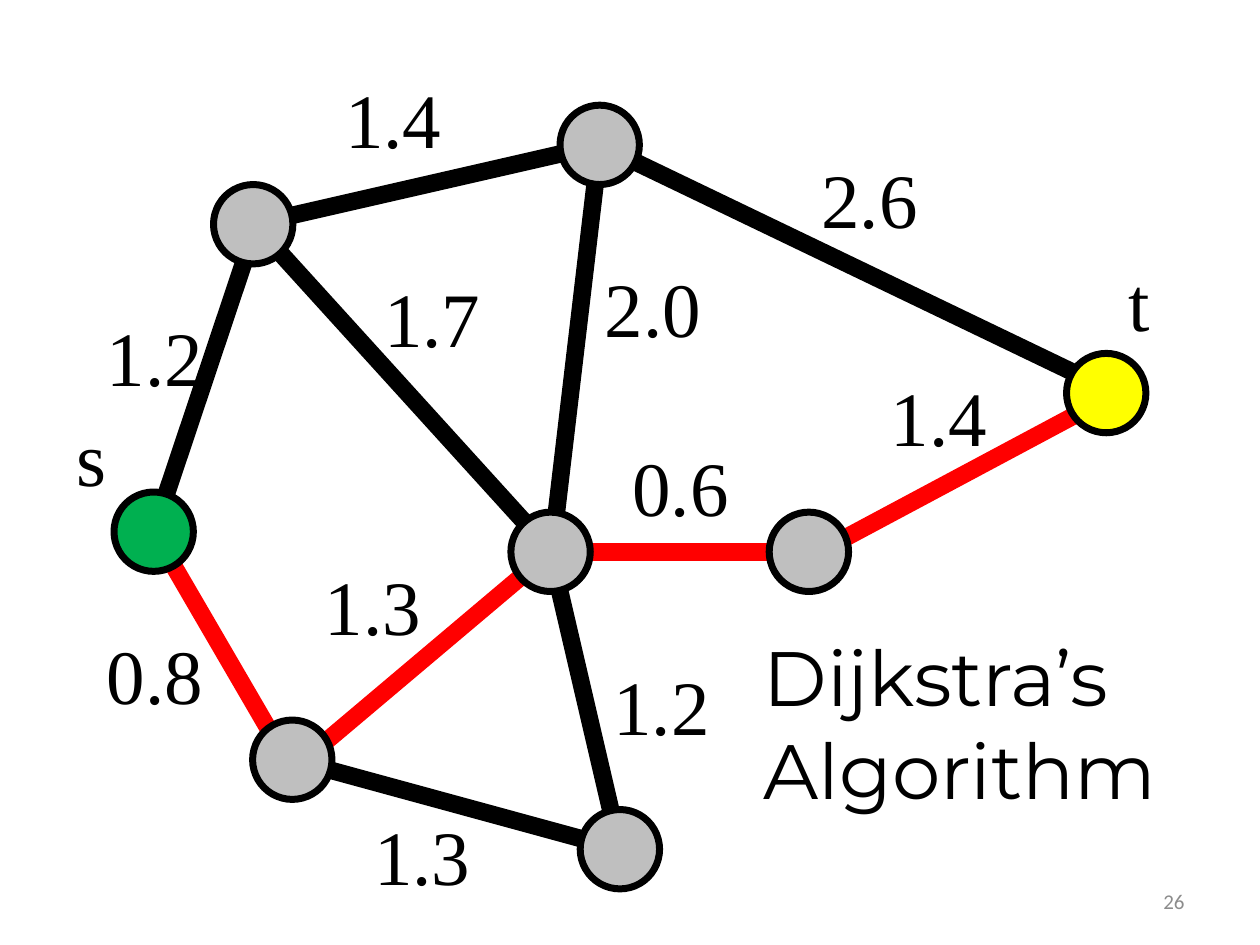
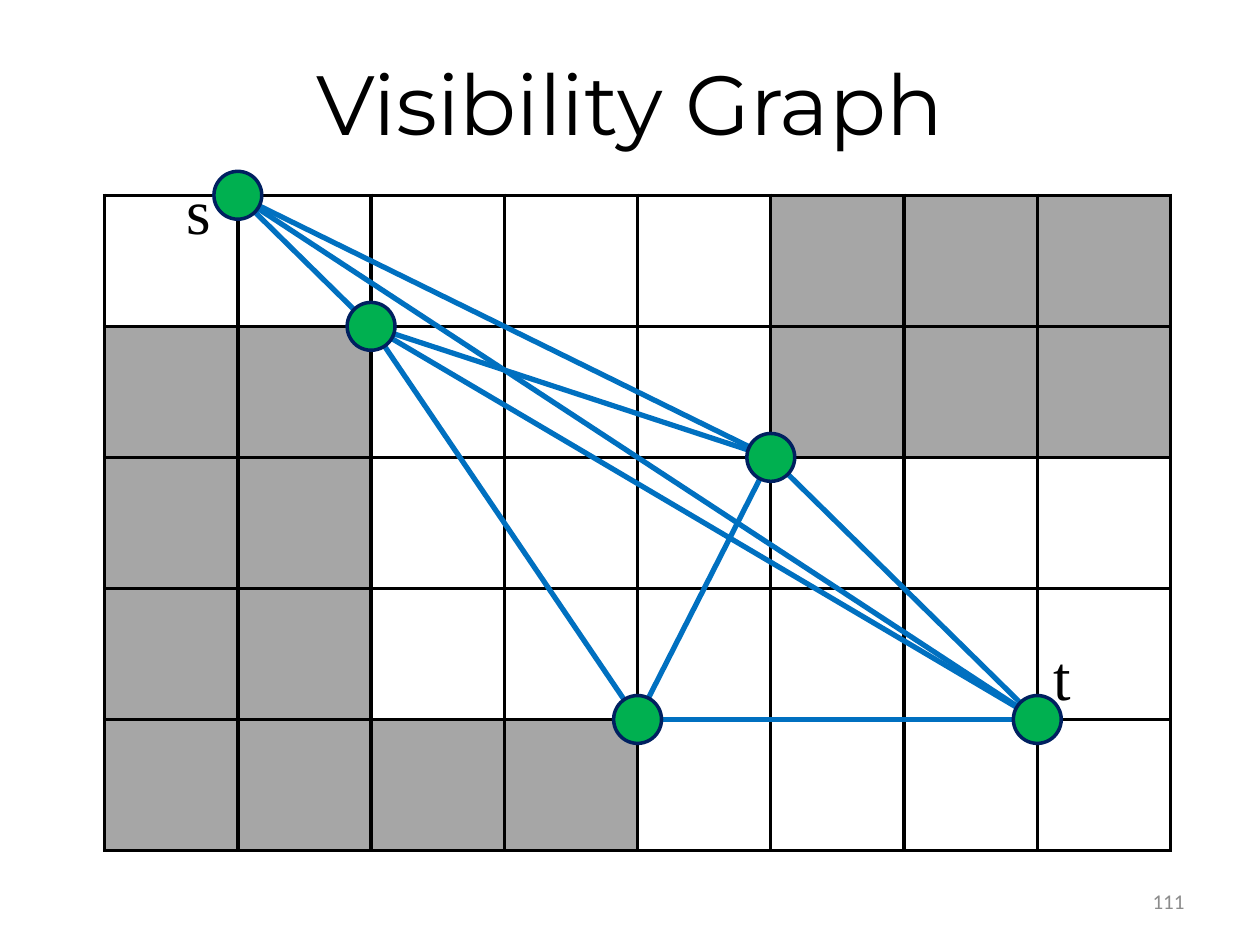
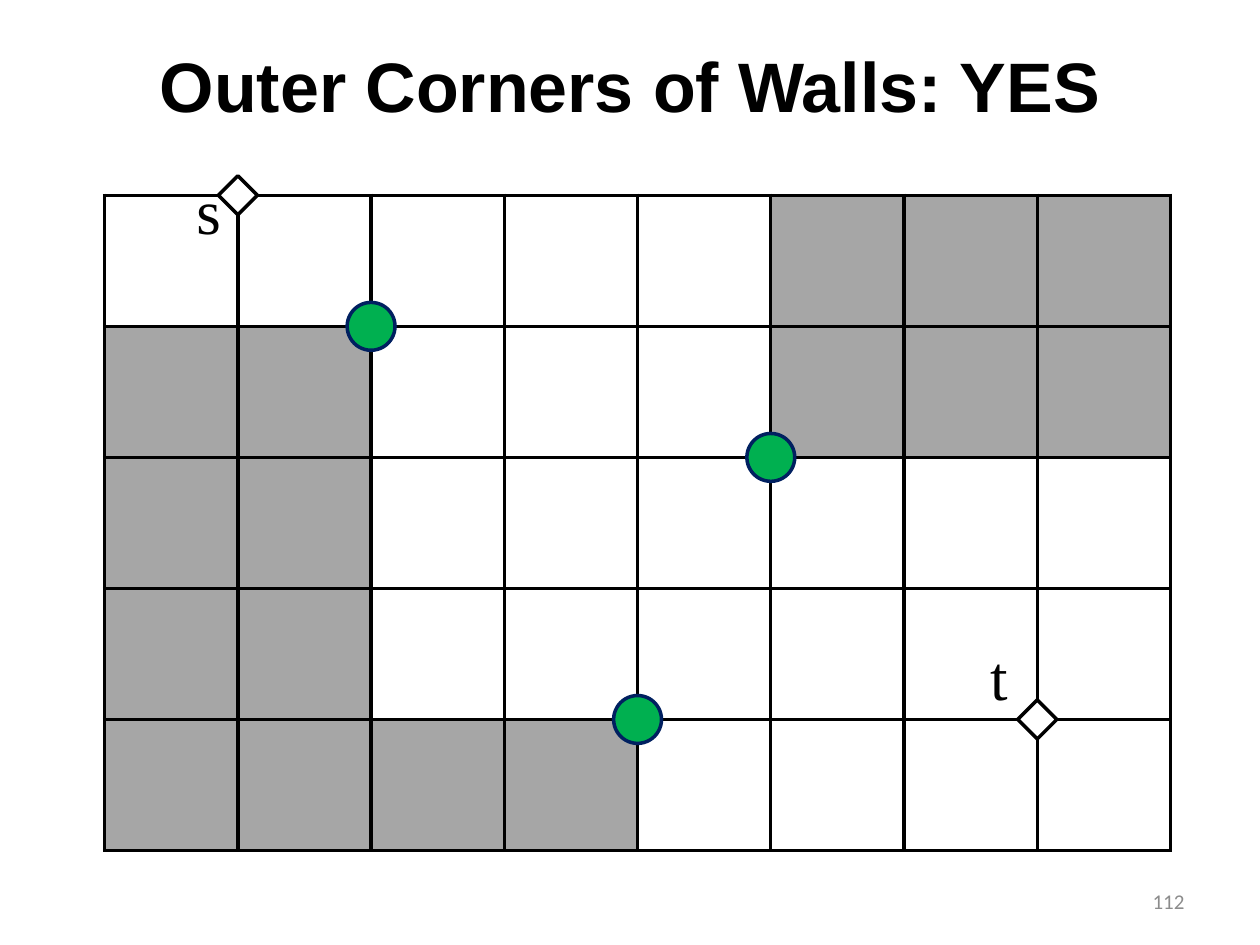
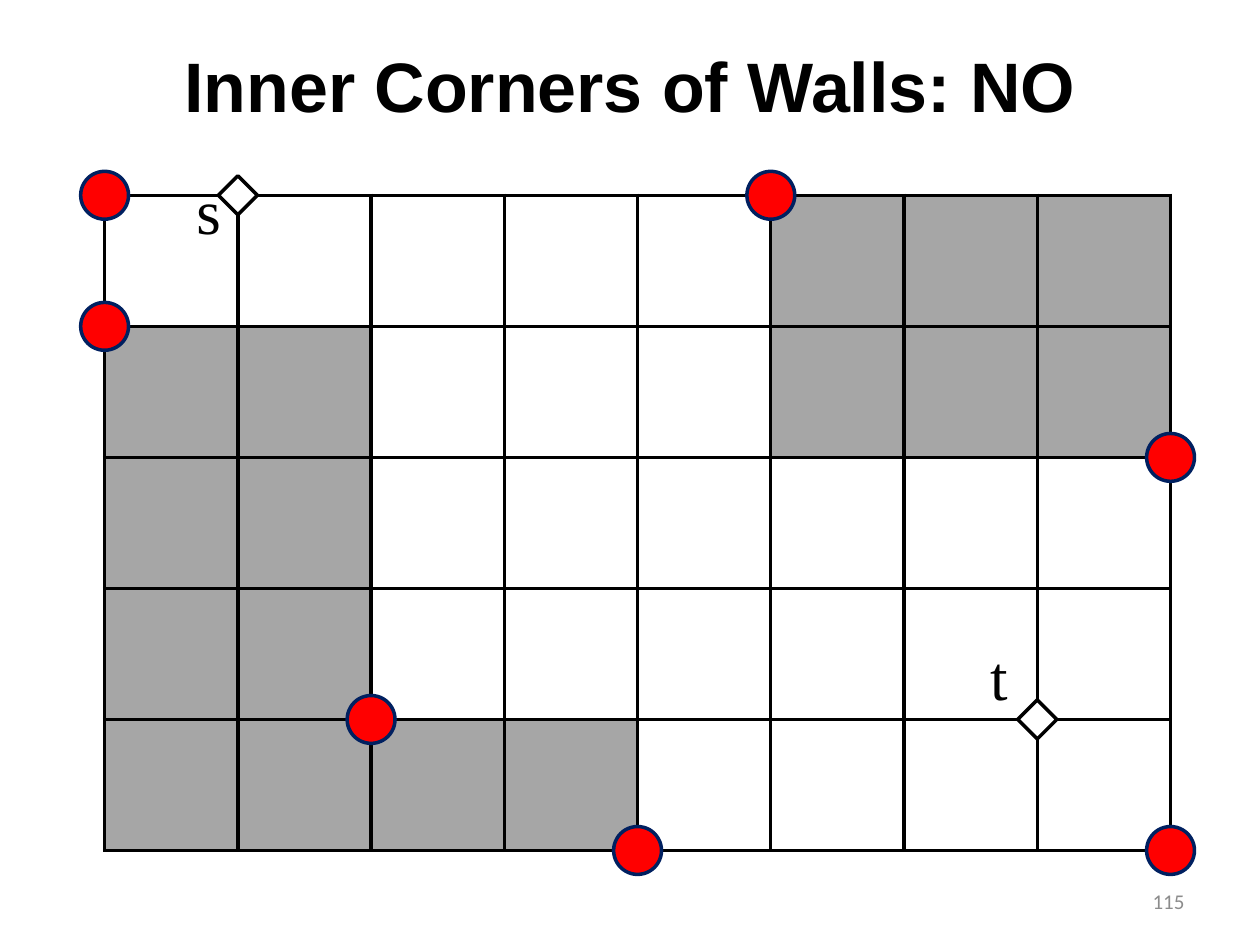
from lxml import etree
from pptx import Presentation
from pptx.dml.color import RGBColor
from pptx.enum.shapes import MSO_CONNECTOR, MSO_SHAPE
from pptx.enum.text import MSO_ANCHOR, MSO_AUTO_SIZE, PP_ALIGN
from pptx.oxml.ns import qn
from pptx.util import Inches, Pt

BLACK = RGBColor(0x00, 0x00, 0x00)
WHITE = RGBColor(0xFF, 0xFF, 0xFF)
RED = RGBColor(0xFF, 0x00, 0x00)
GREEN = RGBColor(0x00, 0xB0, 0x50)
YELLOW = RGBColor(0xFF, 0xFF, 0x00)
SILVER = RGBColor(0xBF, 0xBF, 0xBF)
WALL = RGBColor(0xA6, 0xA6, 0xA6)
NAVY = RGBColor(0x00, 0x20, 0x60)
BLUE = RGBColor(0x00, 0x70, 0xC0)
GREY = RGBColor(0x8C, 0x8C, 0x8C)

LEFT, CENTER, RIGHT = PP_ALIGN.LEFT, PP_ALIGN.CENTER, PP_ALIGN.RIGHT
TOP, MIDDLE = MSO_ANCHOR.TOP, MSO_ANCHOR.MIDDLE
FIT, FIXED = MSO_AUTO_SIZE.SHAPE_TO_FIT_TEXT, MSO_AUTO_SIZE.NONE
OVAL, DIAMOND = MSO_SHAPE.OVAL, MSO_SHAPE.DIAMOND
STRAIGHT = MSO_CONNECTOR.STRAIGHT

WEIGHT = {"name": "Times New Roman", "size": Pt(44)}
LETTER = {"name": "Times New Roman", "size": Pt(36)}
NAME = {"name": "Montserrat", "size": Pt(44)}
HEAD = {"name": "Montserrat", "size": Pt(48)}
STRONG = {"name": "Arial", "size": Pt(40), "bold": True}
FOOT = {"name": "Calibri", "size": Pt(12)}

GROW = {"auto_size": FIT, "word_wrap": False, "vertical_anchor": TOP}
WRAP = {"auto_size": FIT, "word_wrap": True, "vertical_anchor": TOP}
PAGE = {"auto_size": FIXED, "word_wrap": True, "vertical_anchor": MIDDLE}

WIDTH, HEIGHT = 10, 7.5
GRID_X, GRID_Y, GRID_W, GRID_H = 0.83, 1.55, 8.46, 5.2
# One letter for each cell: # is wall, . is free
MAZE = [".....###", "##...###", "##......", "##......", "####...."]
ROWS, COLS = len(MAZE), len(MAZE[0])

# Grid corners as (column, row)
START, GOAL = (1, 0), (7, 4)
UPPER, RIGHTMOST, LOWER = OUTER = [(2, 1), (5, 2), (4, 4)]
INNER = [(5, 0), (8, 2), (2, 4), (0, 1), (0, 0), (4, 5), (8, 5)]
SIGHTS = [(GOAL, START), (UPPER, START), (LOWER, UPPER),
          (LOWER, RIGHTMOST), (LOWER, GOAL), (RIGHTMOST, GOAL),
          (UPPER, GOAL), (UPPER, RIGHTMOST), (START, RIGHTMOST)]

# Graph nodes: centre and colour
NODES = {
    "west": (2.01, 1.78, SILVER),
    "north": (4.76, 1.15, SILVER),
    "east": (6.42, 4.38, SILVER),
    "s": (1.22, 4.22, GREEN),
    "hub": (4.37, 4.38, SILVER),
    "south": (2.32, 6.03, SILVER),
    "low": (4.92, 6.74, SILVER),
    "t": (8.78, 3.12, YELLOW),
}
# Edges: two nodes, colour, and how many nudges each end is off centre
NUDGE = 0.08
NONE, ACROSS, DOWN, BOTH = (0, 0), (1, 0), (0, 1), (1, 1)
EDGES = [
    ("t", "east", RED, ACROSS, ACROSS),
    ("west", "s", BLACK, DOWN, NONE),
    ("north", "west", BLACK, NONE, NONE),
    ("hub", "west", BLACK, BOTH, BOTH),
    ("east", "hub", RED, NONE, NONE),
    ("north", "t", BLACK, NONE, ACROSS),
    ("north", "hub", BLACK, NONE, DOWN),
    ("low", "hub", BLACK, NONE, NONE),
    ("south", "s", RED, DOWN, NONE),
    ("south", "hub", RED, DOWN, NONE),
    ("south", "low", BLACK, NONE, NONE),
]
LABELS = [
    ("s", 0.51, 3.2, 0.47), ("t", 8.86, 1.97, 0.41),
    ("2.6", 6.42, 1.15, 1.01), ("2.0", 4.7, 2.02, 1.01),
    ("1.7", 2.95, 2.1, 1.01), ("1.4", 2.64, 0.52, 1.01),
    ("1.2", 0.75, 2.41, 1.01), ("0.8", 0.75, 4.93, 1.01),
    ("1.3", 2.87, 6.37, 1.01), ("1.3", 2.48, 4.38, 1.01),
    ("0.6", 4.92, 3.44, 1.01), ("1.4", 6.97, 2.88, 1.01),
    ("1.2", 4.77, 5.18, 1.01),
]


def assign(target, values):
    for key, value in values.items():
        setattr(target, key, value)


def write(shape, text, font, frame, align=LEFT, color=BLACK):
    """Fill a shape with text, one paragraph for each line."""
    body = shape.text_frame
    body.text = text
    assign(body, frame)
    for para in body.paragraphs:
        para.alignment = align
        for run in para.runs:
            assign(run.font, font)
            run.font.color.rgb = color


def add_label(slide, text, box, font, frame=GROW, align=LEFT, color=BLACK):
    shape = slide.shapes.add_textbox(*map(Inches, box))
    write(shape, text, font, frame, align, color)


def add_title(slide, text, box, font, align=CENTER):
    title = slide.shapes.title
    keys = ("left", "top", "width", "height")
    assign(title, dict(zip(keys, map(Inches, box))))
    write(title, text, font, GROW, align)


def add_head(slide, text, top, width, height, font):
    """Title centred on the page."""
    add_title(slide, text, ((WIDTH - width) / 2, top, width, height), font)


def add_page(deck, number):
    slide = deck.slides.add_slide(deck.slide_layouts[5])
    add_label(slide, str(number), (7.17, 6.95, 2.33, 0.4), FOOT, PAGE,
              RIGHT, GREY)
    return slide


def add_line(slide, start, end, color, width):
    line = slide.shapes.add_connector(STRAIGHT, *map(Inches, start + end))
    line.line.color.rgb = color
    line.line.width = Pt(width)
    props = line._element.find(qn("p:spPr"))
    etree.SubElement(props, qn("a:effectLst"))


def add_mark(slide, kind, center, size, fill, edge, width):
    """Preset shape of equal sides around a centre."""
    x, y = center
    box = (x - size / 2, y - size / 2, size, size)
    mark = slide.shapes.add_shape(kind, *map(Inches, box))
    mark.shadow.inherit = False
    mark.fill.solid()
    mark.fill.fore_color.rgb = fill
    mark.line.color.rgb = edge
    mark.line.width = Pt(width)


def add_border(cell):
    props = cell._tc.get_or_add_tcPr()
    for side in ("a:lnL", "a:lnR", "a:lnT", "a:lnB"):
        line = etree.SubElement(props, qn(side), w=str(Pt(2.25)))
        fill = etree.SubElement(line, qn("a:solidFill"))
        etree.SubElement(fill, qn("a:srgbClr"), val=str(BLACK))


def add_maze(slide):
    box = map(Inches, (GRID_X, GRID_Y, GRID_W, GRID_H))
    table = slide.shapes.add_table(ROWS, COLS, *box).table
    assign(table, {"first_row": False, "horz_banding": False})
    for col in table.columns:
        col.width = Inches(GRID_W / COLS)
    for row in table.rows:
        row.height = Inches(GRID_H / ROWS)
    for r, codes in enumerate(MAZE):
        for c, code in enumerate(codes):
            cell = table.cell(r, c)
            add_border(cell)
            cell.fill.solid()
            cell.fill.fore_color.rgb = WALL if code == "#" else WHITE


def corner(spot):
    """Place of a grid corner, in inches."""
    col, row = spot
    return GRID_X + col * GRID_W / COLS, GRID_Y + row * GRID_H / ROWS


def add_dots(slide, spots, color):
    for spot in spots:
        add_mark(slide, OVAL, corner(spot), 0.38, color, NAVY, 2)


def add_ends(slide, s_left, t_left):
    """Letters of the start and the goal."""
    add_label(slide, "s", (s_left, 1.31, 0.44, 0.71), LETTER, WRAP)
    add_label(slide, "t", (t_left, 5.01, 0.44, 0.71), LETTER, WRAP)


def shift(node, steps):
    x, y, _ = NODES[node]
    return x + steps[0] * NUDGE, y + steps[1] * NUDGE


def graph_page(deck):
    slide = add_page(deck, 26)
    for tail, tip, color, off, turn in EDGES:
        add_line(slide, shift(tail, off), shift(tip, turn), color, 10)
    for x, y, color in NODES.values():
        add_mark(slide, OVAL, (x, y), 0.63, color, BLACK, 4)
    for text, x, y, width in LABELS:
        add_label(slide, text, (x, y, width, 0.84), WEIGHT)
    add_title(slide, "Dijkstra’s\nAlgorithm", (5.96, 4.95, 3.49, 1.58),
              NAME, LEFT)


def sight_page(deck):
    slide = add_page(deck, 111)
    add_head(slide, "Visibility Graph", 0.36, 5.88, 0.91, HEAD)
    add_maze(slide)
    for tail, tip in SIGHTS:
        add_line(slide, corner(tail), corner(tip), BLUE, 3)
    add_dots(slide, [START, GOAL] + OUTER, GREEN)
    add_ends(slide, 1.38, 8.26)


def wall_page(deck, number, title, width, spots, color):
    slide = add_page(deck, number)
    add_head(slide, title, 0.29, width, 0.77, STRONG)
    add_maze(slide)
    add_dots(slide, spots, color)
    add_ends(slide, 1.46, 7.76)
    for spot in (START, GOAL):
        add_mark(slide, DIAMOND, corner(spot), 0.31, WHITE, BLACK, 2)


def main():
    deck = Presentation()
    assign(deck, {"slide_width": Inches(WIDTH),
                  "slide_height": Inches(HEIGHT)})
    graph_page(deck)
    sight_page(deck)
    wall_page(deck, 112, "Outer Corners of Walls: YES", 7.75, OUTER, GREEN)
    wall_page(deck, 115, "Inner Corners of Walls: NO", 7.35, INNER, RED)
    deck.save("out.pptx")


if __name__ == "__main__":
    main()
